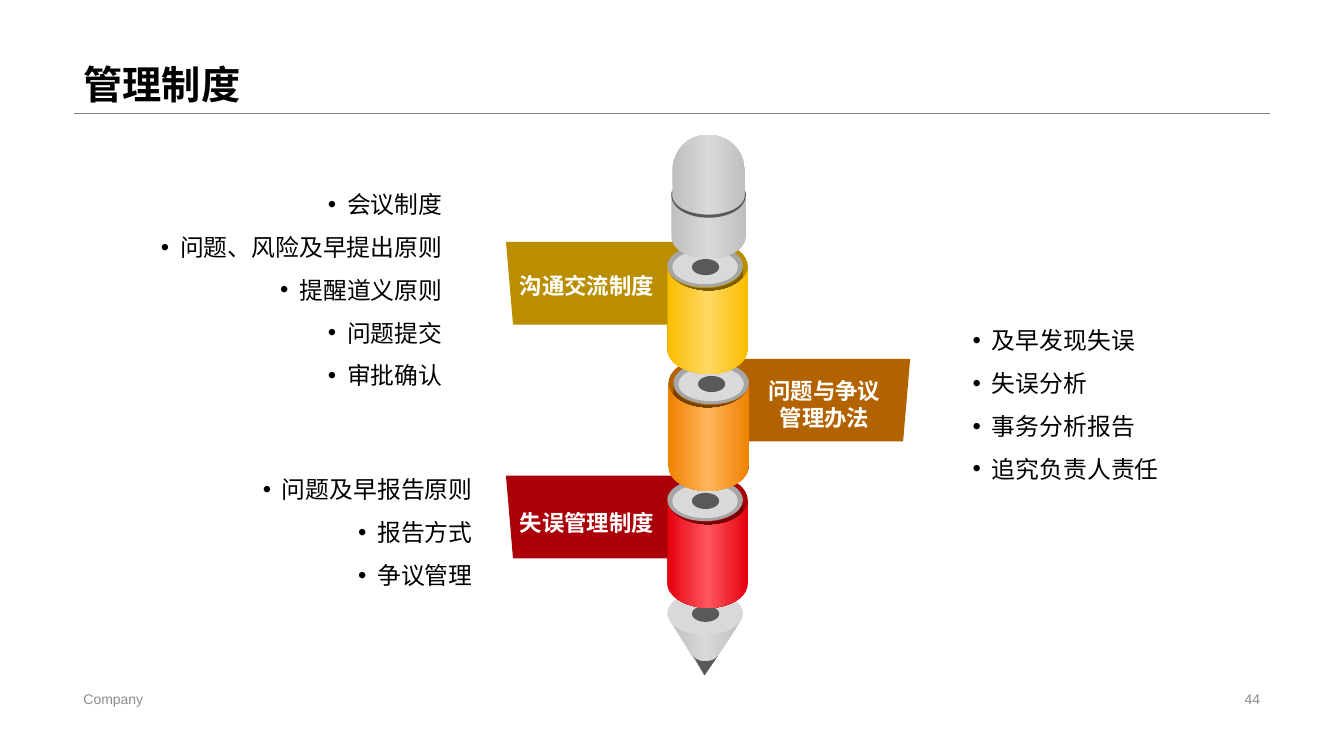
from copy import deepcopy

from lxml.etree import SubElement
from pptx import Presentation
from pptx.dml.color import RGBColor
from pptx.enum.shapes import MSO_CONNECTOR, MSO_SHAPE
from pptx.enum.text import MSO_ANCHOR, MSO_AUTO_SIZE, PP_ALIGN
from pptx.oxml.ns import qn
from pptx.util import Pt

SCALE = 9144  # EMU per px, 100 px to the inch
BLACK = RGBColor(0x00, 0x00, 0x00)
WHITE = RGBColor(0xFF, 0xFF, 0xFF)
FOOTER_GRAY = RGBColor(0x8C, 0x8C, 0x8C)
RULE_GRAY = RGBColor(0x80, 0x80, 0x80)
LEAD = RGBColor(0x59, 0x59, 0x59)
RIM = RGBColor(0xA6, 0xA6, 0xA6)
FACE = RGBColor(0xD9, 0xD9, 0xD9)
SILVER = (RGBColor(0xBF, 0xBF, 0xBF), FACE)
YELLOW = (RGBColor(0xF9, 0xBD, 0x00), RGBColor(0xFF, 0xD9, 0x62))
YELLOW_TAB = RGBColor(0xBB, 0x8E, 0x00)
YELLOW_DARK = RGBColor(0x7C, 0x5F, 0x00)
ORANGE = (RGBColor(0xEF, 0x82, 0x00), RGBColor(0xFF, 0xB5, 0x5C))
ORANGE_TAB = RGBColor(0xB3, 0x62, 0x00)
ORANGE_DARK = RGBColor(0x78, 0x41, 0x00)
RED = (RGBColor(0xE5, 0x00, 0x0C), RGBColor(0xFF, 0x56, 0x5F))
RED_TAB = RGBColor(0xAC, 0x00, 0x09)
RED_DARK = RGBColor(0x72, 0x00, 0x06)

LEFT, CENTER, RIGHT = PP_ALIGN.LEFT, PP_ALIGN.CENTER, PP_ALIGN.RIGHT
TITLE = "管理制度"
TITLE_BOX = (73, 0, 1187, 112)
# placeholder index, box, alignment, items
LISTS = [
    (1, (135, 169, 314, 229), RIGHT,
     ["会议制度", "问题、风险及早提出原则", "提醒道义原则", "问题提交", "审批确认"]),
    (2, (955, 304, 240, 221), LEFT,
     ["及早发现失误", "失误分析", "事务分析报告", "追究负责人责任"]),
    (3, (150, 452, 329, 148), RIGHT,
     ["问题及早报告原则", "报告方式", "争议管理"]),
]
LABELS = [
    ((506, 265, 236, 37), LEFT, ["沟通交流制度"]),
    ((751, 369, 134, 64), CENTER, ["问题与争议", "管理办法"]),
    ((506, 500, 236, 37), LEFT, ["失误管理制度"]),
]
FOOTERS = [
    ((73, 682, 453, 23), LEFT, ["Company"]),
    ((942, 682, 318, 23), RIGHT, ["44"]),
]
# bottom to top: axis x, side of the tab (1 left, -1 right), colours
SEGMENTS = [
    (700, 1, RED_TAB, RED_DARK, RED),
    (705, -1, ORANGE_TAB, ORANGE_DARK, ORANGE),
    (700, 1, YELLOW_TAB, YELLOW_DARK, YELLOW),
]
LOWEST_SEGMENT, SEGMENT_STEP = 497, 116

# Outlines: a pair is a line end, six numbers are a cubic curve.
TAB = [(-198, -25), (0, -25), (30, -25, 42, -12, 42, 0), (42, 82),
       (42, 70, 30, 57, 0, 57), (-191, 57)]
INNER_WALL = [(-38, 0), (-38, 12, -21, 21, 0, 21), (20, 21, 37, 12, 37, 0), (37, 82),
              (37, 94, 20, 103, 0, 103), (-21, 103, -38, 94, -38, 82)]
BARREL = [(-38, 82), (-38, 94, -21, 105, 0, 106), (25, 107, 42, 94, 42, 82), (42, 0),
          (42, 12, 25, 25, 0, 24), (-21, 23, -38, 12, -38, 0)]
CONE = [(699, 670), (735, 616), (665, 616)]
POINT = [(699, 656), (695, 656, 690, 654, 688, 651), (699, 670), (712, 651),
         (710, 654, 705, 656, 699, 656)]
CAP = [
    ([(704, 134), (701, 134), (682, 134, 667, 150, 667, 169), (667, 205),
      (668, 216, 683, 224, 703, 224), (722, 224, 738, 216, 739, 205), (739, 169),
      (739, 150, 723, 134, 704, 134)], SILVER),
    ([(740, 193), (740, 205, 724, 214, 703, 214), (682, 214, 666, 205, 666, 193), (666, 235),
      (666, 247, 682, 256, 703, 256), (724, 256, 740, 247, 740, 235)], SILVER),
    ([(739, 189), (739, 194), (739, 205, 722, 213, 703, 213), (684, 213, 667, 205, 667, 194),
      (667, 189), (666, 190, 666, 192, 666, 194), (666, 206, 682, 216, 703, 216),
      (724, 216, 740, 206, 740, 194), (740, 192, 740, 190, 739, 189)], LEAD),
]


def emu(*lengths):
    return [round(length * SCALE) for length in lengths]


def paint(shape, color):
    """Fill with one colour, or with an (edge, middle) pair as a horizontal gradient."""
    shape.shadow.inherit = False
    shape.line.fill.background()
    fill = shape.fill
    if isinstance(color, RGBColor):
        fill.solid()
        fill.fore_color.rgb = color
        return
    fill.gradient()
    fill.gradient_angle = 0
    first = next(shape._element.spPr.iter(qn("a:gs")))
    first.addnext(deepcopy(first))
    edge, middle = color
    for stop, shade, position in zip(fill.gradient_stops, (edge, middle, edge), (0, 0.5, 1)):
        stop.color.rgb = shade
        stop.position = position


def bend(shape, outline):
    """Merge the three line ends of each curve into one cubic segment."""
    lines = iter(list(shape._element.spPr.iter(qn("a:lnTo"))))
    for part in outline[1:]:
        ends = [next(lines) for _ in range(len(part) // 2)]
        if len(ends) == 3:
            curve = ends[0]
            curve.tag = qn("a:cubicBezTo")
            for end in ends[1:]:
                curve.append(end[0])
                end.getparent().remove(end)


def add_outline(shapes, outline, color, x=0, y=0, side=1):
    points = [emu(x + side * part[i], y + part[i + 1])
              for part in outline for i in range(0, len(part), 2)]
    builder = shapes.build_freeform(*points[0])
    builder.add_line_segments(points[1:], close=True)
    shape = builder.convert_to_shape()
    bend(shape, outline)
    paint(shape, color)


def add_ellipse(shapes, x, y, width, height, color):
    """Add an ellipse centred on x, y."""
    box = emu(x - width / 2, y - height / 2, width, height)
    paint(shapes.add_shape(MSO_SHAPE.OVAL, *box), color)


def add_segment(shapes, x, y, side, tab, dark, barrel):
    ring_x = x - side / 2
    add_outline(shapes, TAB, tab, x, y, side)
    add_ellipse(shapes, ring_x, y - 1, 75, 42, RIM)
    add_ellipse(shapes, ring_x, y, 65, 34, FACE)
    add_outline(shapes, INNER_WALL, dark, x, y, side)
    add_ellipse(shapes, ring_x + 0.5, y, 27, 16, LEAD)
    add_outline(shapes, BARREL, barrel, x, y, side)


def place(shape, box):
    shape.left, shape.top, shape.width, shape.height = emu(*box)


def write(shape, lines, size, color, align, bold=False, anchor=MSO_ANCHOR.TOP, spacing=1.0):
    frame = shape.text_frame
    frame.word_wrap = True
    frame.auto_size = MSO_AUTO_SIZE.NONE
    frame.vertical_anchor = anchor
    for number, line in enumerate(lines):
        para = frame.add_paragraph() if number else frame.paragraphs[0]
        para.alignment = align
        para.line_spacing = spacing
        para.space_before = Pt(0)
        span = para.add_run()
        span.text = line
        span.font.name = "Arial"
        span.font.size = Pt(size)
        span.font.bold = bold
        span.font.color.rgb = color


def add_bullets(shape):
    for para in shape.text_frame.paragraphs:
        properties = para._p.get_or_add_pPr()
        indent = emu(19)[0]
        properties.set("marL", str(indent))
        properties.set("indent", str(-indent))
        SubElement(properties, qn("a:buChar")).set("char", "•")


def main():
    deck = Presentation()
    deck.slide_width, deck.slide_height = emu(1333.33, 750)
    comparison_layout = deck.slide_layouts[4]
    page = deck.slides.add_slide(comparison_layout)
    shapes = page.shapes

    place(shapes.title, TITLE_BOX)
    write(shapes.title, [TITLE], 28, BLACK, LEFT, True, MSO_ANCHOR.BOTTOM, 0.9)
    rule = shapes.add_connector(MSO_CONNECTOR.STRAIGHT, *emu(73, 112, 1260, 112))
    rule.line.color.rgb = RULE_GRAY
    rule.line.width = Pt(0.25)
    SubElement(rule._element.spPr, qn("a:effectLst"))

    bodies = {body.placeholder_format.idx: body for body in page.placeholders}
    for index, box, align, items in LISTS:
        place(bodies[index], box)
        write(bodies[index], items, 17, BLACK, align, spacing=1.5)
        add_bullets(bodies[index])
    unused = bodies[4]._element
    unused.getparent().remove(unused)

    tip = shapes.add_group_shape().shapes
    add_outline(tip, CONE, SILVER)
    add_outline(tip, POINT, LEAD)
    add_ellipse(tip, 699.5, 608.5, 75, 43, FACE)
    add_ellipse(tip, 700, 609, 27, 16, LEAD)
    for number, (x, *style) in enumerate(SEGMENTS):
        add_segment(shapes.add_group_shape().shapes, x, LOWEST_SEGMENT - number * SEGMENT_STEP, *style)
    cap = shapes.add_group_shape().shapes
    for outline, color in CAP:
        add_outline(cap, outline, color)

    for box, align, lines in LABELS:
        write(shapes.add_textbox(*emu(*box)), lines, 16, WHITE, align, True)
    for box, align, lines in FOOTERS:
        write(shapes.add_textbox(*emu(*box)), lines, 10, FOOTER_GRAY, align, anchor=MSO_ANCHOR.MIDDLE)
    deck.save("out.pptx")


if __name__ == "__main__":
    main()
